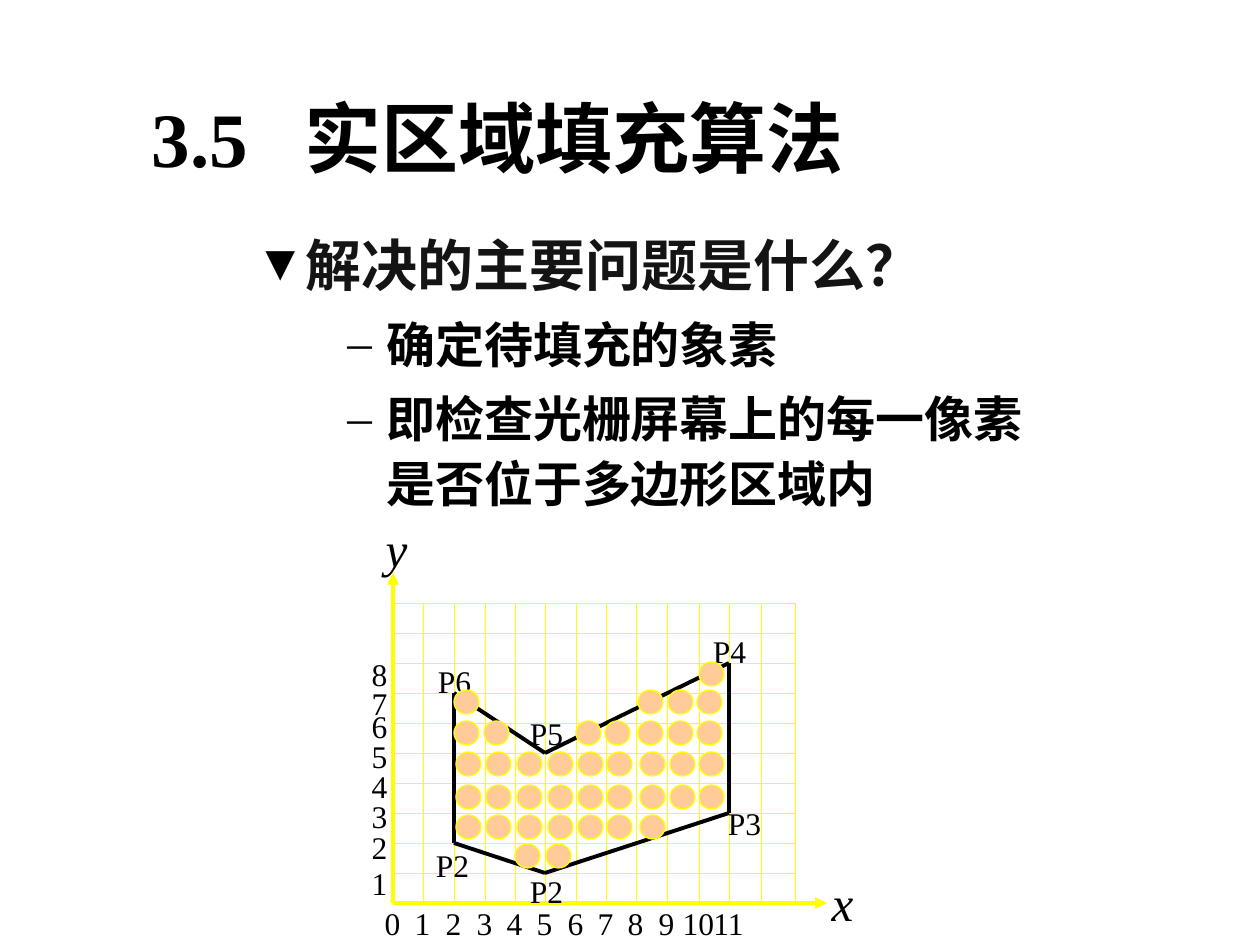
import lxml.etree
import pptx
import pptx.dml.color
import pptx.enum.dml
import pptx.enum.shapes
import pptx.enum.text
import pptx.oxml.ns
import pptx.util

SCALE = 914400 / 126
FONT = "Times New Roman"
HUES = {"ink": "000000", "soft": "141414", "axis": "FFFF00", "dot": "FFCC99"}
ALIGN = pptx.enum.text.PP_ALIGN
COLS = [0, 30, 61, 92, 122, 152, 183, 213, 243, 274, 306, 336, 368, 402]
STEP = 30


def px(num):
    return pptx.util.Emu(round(num * SCALE))


def hue(name):
    return pptx.dml.color.RGBColor.from_string(HUES[name])


def sub(node, tag, **attrs):
    return lxml.etree.SubElement(node, pptx.oxml.ns.qn(tag), attrs)


def add_run(para, text, size, color="ink", bold=False, slant=False):
    run = para.add_run()
    run.text = text
    font = run.font
    font.name = FONT
    font.size = pptx.util.Pt(size)
    font.bold = bold
    font.italic = slant
    font.color.rgb = hue(color)


def space(para, share):
    props = para._p.get_or_add_pPr()
    sub(sub(props, "a:spcBef"), "a:spcPct", val=str(share * 1000))
    return props


def bullet(para, mark, left, hang, scale=100):
    props = space(para, 20)
    props.set("marL", str(px(left)))
    props.set("indent", str(px(-hang)))
    sub(sub(props, "a:buClr"), "a:srgbClr", val=HUES["ink"])
    sub(props, "a:buSzPct", val=str(scale * 1000))
    sub(props, "a:buFont", typeface=FONT)
    sub(props, "a:buChar", char=mark)


def add_box(shapes, box):
    frame = shapes.add_textbox(*map(px, box)).text_frame
    frame.word_wrap = True
    return frame


def add_label(shapes, mid, top, text, size=18, slant=False):
    para = add_box(shapes, (mid - 45, top, 91, size * 2 + 14)).paragraphs[0]
    para.alignment = ALIGN.CENTER
    space(para, 50)
    add_run(para, text, size, slant=slant)


def add_line(shapes, start, end, color, width=2.25, dash=None, arrow=False):
    kind = pptx.enum.shapes.MSO_CONNECTOR.STRAIGHT
    link = shapes.add_connector(kind, *map(px, start + end))
    link.line.color.rgb = hue(color)
    link.line.width = pptx.util.Pt(width)
    if dash:
        link.line.dash_style = dash
    if arrow:
        sub(link.line._get_or_add_ln(), "a:tailEnd", type="triangle")
    sub(link._element.spPr, "a:effectLst")


def add_title(slide, box):
    title = slide.shapes.title
    title.left, title.top, title.width, title.height = map(px, box)
    frame = title.text_frame
    frame.auto_size = pptx.enum.text.MSO_AUTO_SIZE.NONE
    frame.vertical_anchor = pptx.enum.text.MSO_ANCHOR.MIDDLE
    para = frame.paragraphs[0]
    para.alignment = ALIGN.LEFT
    tabs = sub(para._p.get_or_add_pPr(), "a:tabLst")
    sub(tabs, "a:tab", pos=str(px(153)), algn="l")
    add_run(para, "3.5\t实区域填充算法", 44, bold=True)


def add_ask(slide, box):
    para = add_box(slide.shapes, box).paragraphs[0]
    bullet(para, "▼", 48, 48, 90)
    add_run(para, "解决的主要问题是什么？", 32, "soft", bold=True)


def add_points(slide, box):
    frame = add_box(slide.shapes, box)
    lines = ["确定待填充的象素", "即检查光栅屏幕上的每一像素是否位于多边形区域内"]
    for num, text in enumerate(lines):
        para = frame.add_paragraph() if num else frame.paragraphs[0]
        para.line_spacing = 1.1
        bullet(para, "–", 102, 39)
        add_run(para, text, 28, bold=True)


def add_graph(slide, box):
    left, top, width, height = box
    shapes = slide.shapes.add_group_shape().shapes
    base = top + height

    def spot(col, row):
        return left + COLS[col], base - STEP * row

    dash = pptx.enum.dml.MSO_LINE.ROUND_DOT
    for row in range(1, 11):
        y = base - STEP * row
        add_line(shapes, (left, y), (left + width, y), "axis", 0.25, dash)
    for col in COLS[1:]:
        x = left + col
        add_line(shapes, (x, top), (x, base), "axis", 0.25, dash)

    add_line(shapes, (left, base), (left + 434, base), "axis", arrow=True)
    add_line(shapes, (left, base), (left, top - 30), "axis", arrow=True)
    add_label(shapes, left + 3, top - 91, "y", 28, True)
    add_label(shapes, left + 449, top + 263, "x", 28, True)

    for num, col in enumerate(COLS[:12]):
        add_label(shapes, left + col - 1, top + 295, str(num))
    for num, y in enumerate([255, 219, 188, 158, 128, 98, 75, 46], 1):
        add_label(shapes, left - 14, top + y, str(num))

    nodes = [(2, 2), (5, 1), (11, 3), (11, 8), (5, 5), (2, 7)]
    for start, end in zip(nodes, nodes[1:] + nodes[:1]):
        add_line(shapes, spot(*start), spot(*end), "ink")
    names = [("P6", 61, 53), ("P4", 336, 23), ("P2", 59, 237),
             ("P5", 153, 105), ("P2", 153, 263), ("P3", 351, 195)]
    for name, x, y in names:
        add_label(shapes, left + x, top + y, name)


def add_dots(slide, box):
    left, top = box[:2]
    cols = [63, 93, 124, 155, 185, 214, 247, 277, 306]
    rows = [(212, 0, range(7)), (182, 0, range(9)), (149, 0, range(9)),
            (118, -2, [0, 1, 4, 5, 6, 7, 8]), (241, -2, [2, 3]),
            (87, -2, [0, 6, 7, 8]), (59, 0, [8])]
    oval = pptx.enum.shapes.MSO_SHAPE.OVAL
    for y, shift, picks in rows:
        shapes = slide.shapes.add_group_shape().shapes
        for pick in picks:
            spot = (left + cols[pick] + shift, top + y, 25, 24)
            dot = shapes.add_shape(oval, *map(px, spot))
            dot.shadow.inherit = False
            dot.fill.solid()
            dot.fill.fore_color.rgb = hue("dot")
            dot.line.color.rgb = hue("axis")
            dot.line.width = pptx.util.Pt(0.75)


def main():
    deck = pptx.Presentation()
    deck.slide_width, deck.slide_height = px(1260), px(945)
    slide = deck.slides.add_slide(deck.slide_layouts[5])
    plot = (393, 603, 402, 300)
    add_title(slide, (139, 37, 977, 199))
    add_points(slide, (272, 302, 784, 249))
    add_ask(slide, (243, 224, 997, 100))
    add_graph(slide, plot)
    add_dots(slide, plot)
    deck.save("out.pptx")


if __name__ == "__main__":
    main()
